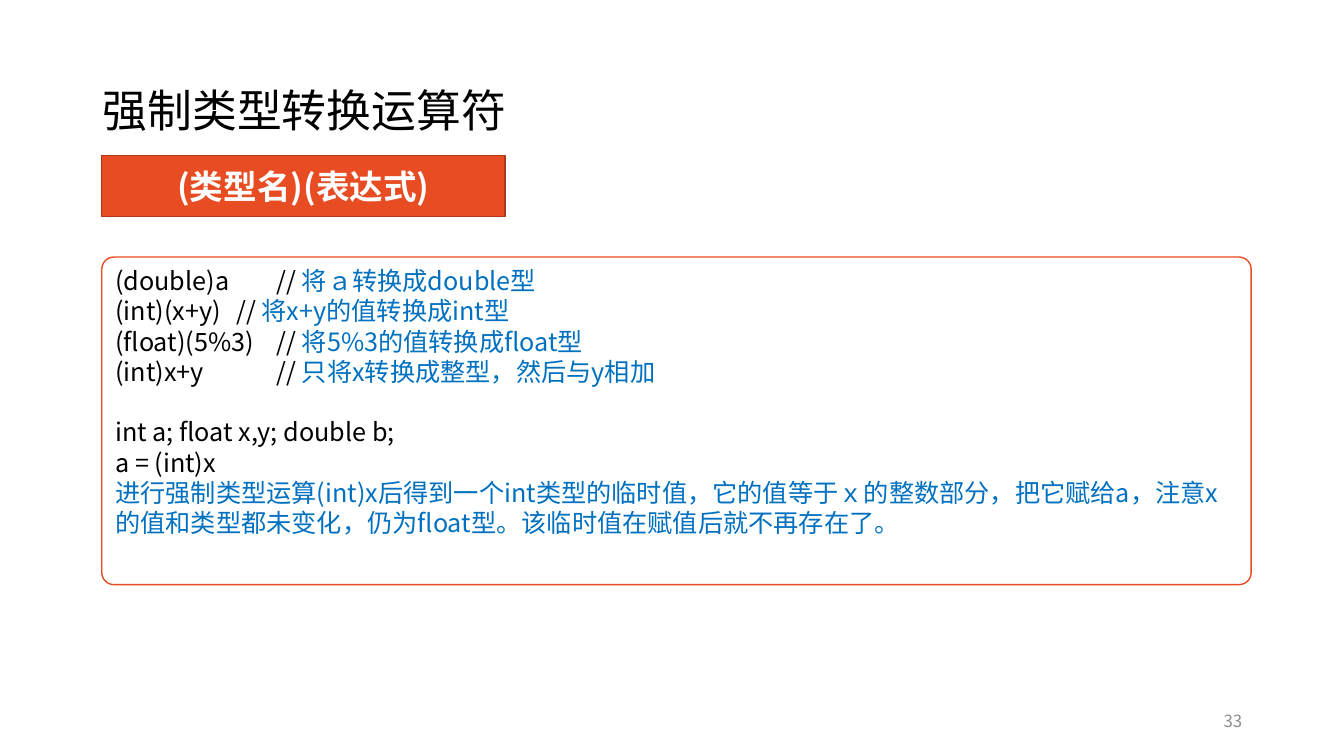
import pptx
import pptx.util
import pptx.dml.color
import pptx.enum.shapes
import pptx.enum.text
import pptx.oxml
import pptx.oxml.ns

Inches, Pt = pptx.util.Inches, pptx.util.Pt
SHAPE = pptx.enum.shapes.MSO_SHAPE
ALIGN = pptx.enum.text.PP_ALIGN
ANCHOR = pptx.enum.text.MSO_ANCHOR
FONT = "Noto Sans CJK SC"
BLACK, WHITE, BLUE, GRAY = "000000", "FFFFFF", "0070C0", "8C8C8C"
ORANGE, RUST = "E84C22", "AC3819"
CASES = [
    ("(double)a\t\t// ", "将ａ转换成double型"),
    ("(int)(x+y)\t// ", "将x+y的值转换成int型"),
    ("(float)(5%3)\t// ", "将5%3的值转换成float型"),
    ("(int)x+y\t\t// ", "只将x转换成整型，然后与y相加"),
]
CODE = ["int a; float x,y; double b;", "a = (int)x"]
NOTE = ("进行强制类型运算(int)x后得到一个int类型的临时值，它的值等于ｘ的整数部分，"
        "把它赋给a，注意x的值和类型都未变化，仍为float型。该临时值在赋值后就不再存在了。")


def color(code):
    """Turn a hex string into a colour."""
    return pptx.dml.color.RGBColor.from_string(code)


def write(para, text, size=18, fill=BLACK, bold=False, align=ALIGN.LEFT, space=None):
    """Add a formatted run to a paragraph."""
    para.alignment = align
    if space:
        para.line_spacing = space
    run = para.add_run()
    run.text = text
    font = run.font
    font.size, font.bold, font.name = Pt(size), bold, FONT
    font.color.rgb = color(fill)
    east = pptx.oxml.parse_xml(
        f'<a:ea {pptx.oxml.ns.nsdecls("a")} typeface="{FONT}"/>')
    run.font._element.find(pptx.oxml.ns.qn("a:latin")).addnext(east)


def label(slide, box, text, **form):
    """Place a single line of text, centred vertically in its box."""
    frame = slide.shapes.add_textbox(*map(Inches, box)).text_frame
    frame.word_wrap = True
    frame.vertical_anchor = ANCHOR.MIDDLE
    write(frame.paragraphs[0], text, **form)


def panel(slide, box, kind, fill, edge):
    """Draw a filled and outlined shape."""
    shape = slide.shapes.add_shape(kind, *map(Inches, box))
    shape.shadow.inherit = False
    shape.fill.solid()
    shape.fill.fore_color.rgb = color(fill)
    shape.line.color.rgb = color(edge)
    shape.line.width = Pt(1)
    shape.text_frame.word_wrap = True
    return shape


def syntax(slide, box):
    """Draw the banner that shows the form of a cast."""
    frame = panel(slide, box, SHAPE.RECTANGLE, ORANGE, RUST).text_frame
    frame.vertical_anchor = ANCHOR.MIDDLE
    write(frame.paragraphs[0], "(类型名)(表达式)", size=24, fill=WHITE,
          bold=True, align=ALIGN.CENTER)


def stops(para, places):
    """Set left tab stops, given in inches."""
    tabs = "".join(f'<a:tab pos="{Inches(place)}" algn="l"/>' for place in places)
    para._p.get_or_add_pPr().append(pptx.oxml.parse_xml(
        f'<a:tabLst {pptx.oxml.ns.nsdecls("a")}>{tabs}</a:tabLst>'))


def samples(slide, box):
    """Draw the framed cast samples and their notes."""
    shape = panel(slide, box, SHAPE.ROUNDED_RECTANGLE, WHITE, ORANGE)
    shape.adjustments[0] = 0.037
    frame = shape.text_frame
    frame.vertical_anchor = ANCHOR.TOP
    pitch = Pt(21.6)
    lines = [[(code, BLACK), (note, BLUE)] for code, note in CASES]
    lines += [[(code, BLACK)] for code in CODE] + [[(NOTE, BLUE)]]
    for row, line in enumerate(lines):
        para = frame.add_paragraph() if row else frame.paragraphs[0]
        for text, fill in line:
            write(para, text, fill=fill, space=pitch)
        if row < len(CASES):
            stops(para, (1.2, 1.6))
        if row == len(CASES):
            para.space_before = pitch


def build(slide):
    """Lay out the cast operator slide."""
    label(slide, (0.92, 0.4, 11.5, 1.45), "强制类型转换运算符", size=32, space=0.9)
    syntax(slide, (1.01, 1.54, 4, 0.61))
    samples(slide, (1.01, 2.55, 11.4, 3.25))
    label(slide, (9.42, 6.95, 3, 0.4), "33", size=12, fill=GRAY, align=ALIGN.RIGHT)


def main():
    """Make the deck and save it."""
    deck = pptx.Presentation()
    deck.slide_width, deck.slide_height = Inches(13.33), Inches(7.5)
    build(deck.slides.add_slide(deck.slide_layouts[6]))
    deck.save("out.pptx")


if __name__ == "__main__":
    main()
